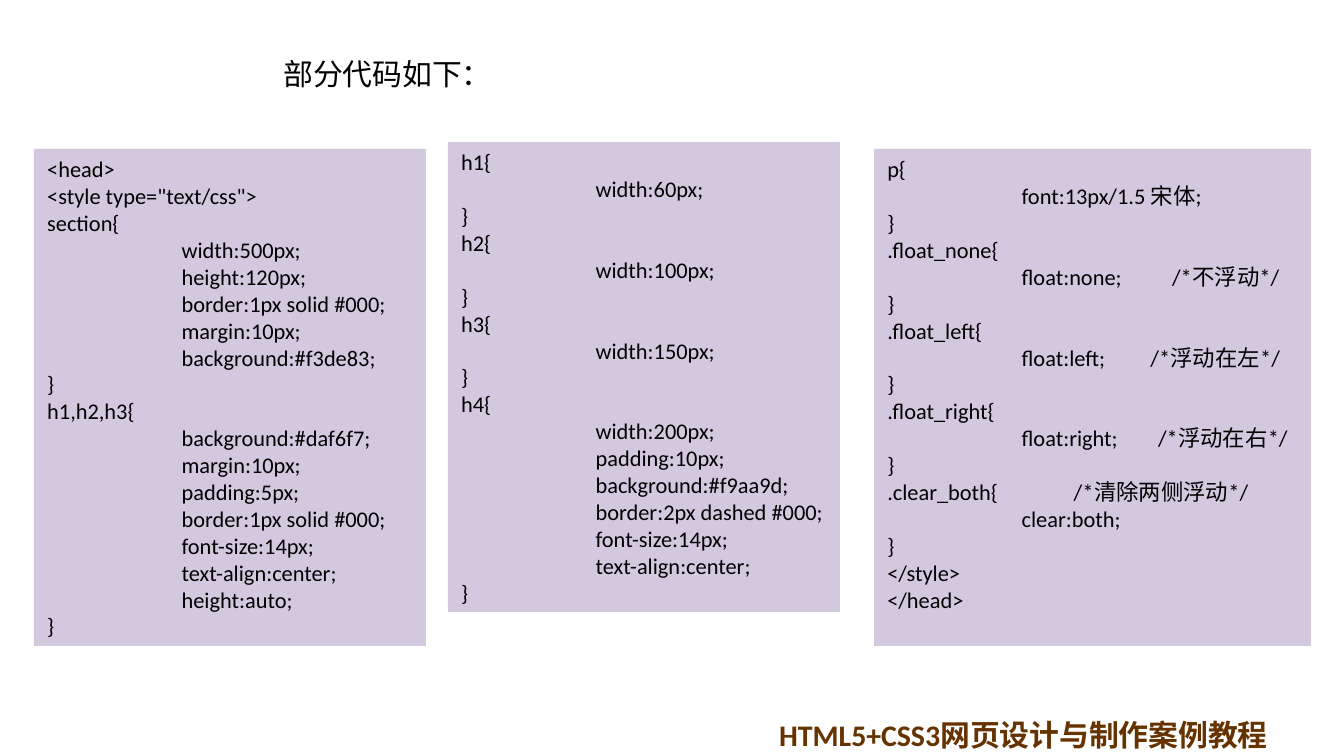
from dataclasses import dataclass

from lxml import etree
from pptx import Presentation
from pptx import util as u
from pptx.dml.color import RGBColor
from pptx.enum import shapes, text
from pptx.oxml.ns import qn
from pptx.text.text import TextFrame

PX = 914400 / 134.4
FONT = "Calibri"
BLACK, BROWN, LILAC = "000000", "663300", "D3C9DF"
TAB_STOPS = 8


@dataclass(frozen=True)
class Box:
    left: int
    top: int
    width: int
    height: int

    def emu(self) -> list[u.Emu]:
        return [u.Emu(round(v * PX))
                for v in (self.left, self.top, self.width, self.height)]


@dataclass(frozen=True)
class CodePanel:
    box: Box
    code: str


PANELS = [
    CodePanel(Box(34, 149, 392, 497), """<head>
<style type="text/css">
section{
\twidth:500px;
\theight:120px;
\tborder:1px solid #000;
\tmargin:10px;
\tbackground:#f3de83;
}
h1,h2,h3{
\tbackground:#daf6f7;
\tmargin:10px;
\tpadding:5px;
\tborder:1px solid #000;
\tfont-size:14px;
\ttext-align:center;
\theight:auto;
}"""),
    CodePanel(Box(448, 142, 392, 470), """h1{
\twidth:60px;
}
h2{
\twidth:100px;
}
h3{
\twidth:150px;
}
h4{
\twidth:200px;
\tpadding:10px;
\tbackground:#f9aa9d;
\tborder:2px dashed #000;
\tfont-size:14px;
\ttext-align:center;
}"""),
    CodePanel(Box(874, 149, 437, 497), """p{
\tfont:13px/1.5 宋体;
}
.float_none{
\tfloat:none;          /*不浮动*/
}
.float_left{
\tfloat:left;         /*浮动在左*/
}
.float_right{
\tfloat:right;        /*浮动在右*/
}
.clear_both{               /*清除两侧浮动*/
\tclear:both;
}
</style>
</head>"""),
]


def rgb(value: str) -> RGBColor:
    return RGBColor.from_string(value)


def add_tab_stops(paragraph) -> None:
    """Put a left tab stop at every inch."""
    stops = etree.SubElement(paragraph._p.get_or_add_pPr(), qn("a:tabLst"))
    for inch in range(TAB_STOPS):
        etree.SubElement(stops, qn("a:tab"), pos=str(u.Inches(inch)), algn="l")


def write(frame: TextFrame, content: str, *, size: int, color: str = BLACK,
          bold: bool = False, wrap: bool = False) -> None:
    frame.word_wrap = wrap
    frame.auto_size = text.MSO_AUTO_SIZE.SHAPE_TO_FIT_TEXT
    frame.vertical_anchor = text.MSO_ANCHOR.TOP
    for number, line in enumerate(content.split("\n")):
        paragraph = frame.add_paragraph() if number else frame.paragraphs[0]
        paragraph.alignment = text.PP_ALIGN.LEFT
        add_tab_stops(paragraph)
        run = paragraph.add_run()
        run.text = line
        run.font.name = FONT
        run.font.size = u.Pt(size)
        run.font.bold = bold
        run.font.color.rgb = rgb(color)


def draw_panel(slide, panel: CodePanel) -> None:
    rectangle = slide.shapes.add_shape(
        shapes.MSO_SHAPE.RECTANGLE, *panel.box.emu())
    rectangle.shadow.inherit = False
    rectangle.fill.solid()
    rectangle.fill.fore_color.rgb = rgb(LILAC)
    rectangle.line.fill.background()
    write(rectangle.text_frame, panel.code, size=12, wrap=True)


def main() -> None:
    deck = Presentation()
    _, _, deck.slide_width, deck.slide_height = Box(0, 0, 1344, 756).emu()
    slide = deck.slides.add_slide(deck.slide_layouts.get_by_name("Title Only"))

    course = slide.shapes.add_textbox(*Box(766, 710, 523, 50).emu())
    write(course.text_frame, "HTML5+CSS3网页设计与制作案例教程",
          size=16, color=BROWN, bold=True)

    heading = slide.shapes.title
    heading.left, heading.top, heading.width, heading.height = Box(
        270, 49, 235, 50).emu()
    write(heading.text_frame, "部分代码如下：", size=16)

    for panel in PANELS:
        draw_panel(slide, panel)

    deck.save("out.pptx")


if __name__ == "__main__":
    main()
